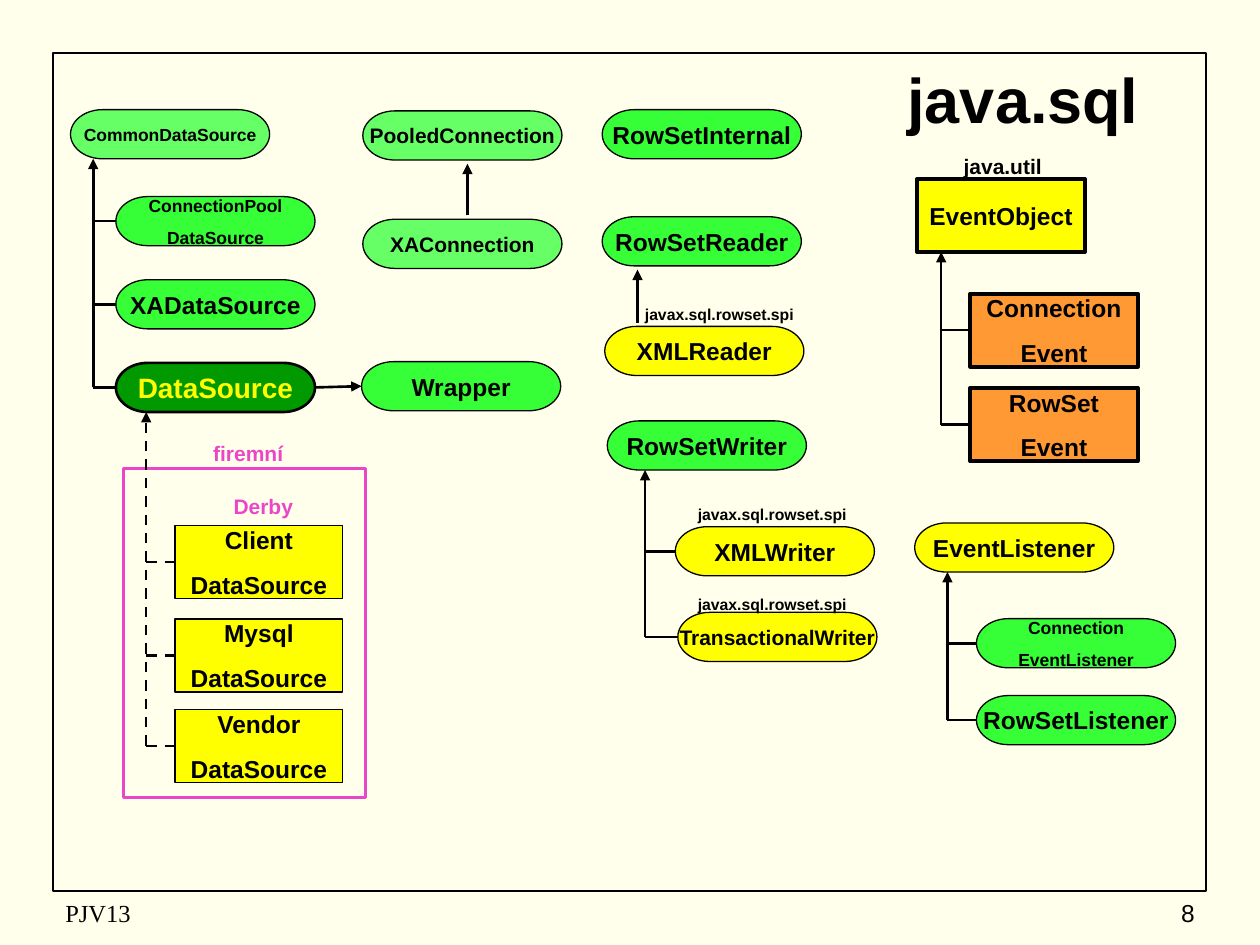
import pptx
import pptx.util
import pptx.dml.color
import pptx.enum.shapes
import pptx.enum.text
import pptx.enum.dml
import pptx.oxml.ns
from lxml import etree

In = pptx.util.Inches
Pt = pptx.util.Pt
KIND = pptx.enum.shapes.MSO_SHAPE
ALIGN = pptx.enum.text.PP_ALIGN
MID = pptx.enum.text.MSO_ANCHOR.MIDDLE
DASH = pptx.enum.dml.MSO_LINE.DASH

HUE = {"page": "FFFFEB", "ink": "000000", "lime": "66FF66", "green": "37FF37",
       "dark": "009900", "gold": "FFFF00", "peach": "FF9933", "pink": "EC46C8"}

PILL = (KIND.FLOWCHART_TERMINATOR, 1.58, 0.39)
CARD = (KIND.RECTANGLE, 1.33, 0.58)

GROUPS = [
    (PILL, 0.75, "ink", [
        ("CommonDataSource", 0.56, 0.87, "lime", 10),
        ("ConnectionPool\nDataSource", 0.92, 1.56, "green", 10),
        ("XADataSource", 0.92, 2.22, "green", 14),
        ("PooledConnection", 2.88, 0.88, "lime", 12),
        ("XAConnection", 2.88, 1.74, "lime", 12),
        ("Wrapper", 2.87, 2.87, "green", 14),
        ("RowSetInternal", 4.78, 0.87, "green", 14),
        ("RowSetReader", 4.78, 1.72, "green", 14),
        ("XMLReader", 4.8, 2.59, "gold", 14),
        ("RowSetWriter", 4.82, 3.34, "green", 14),
        ("XMLWriter", 5.36, 4.18, "gold", 14),
        ("TransactionalWriter", 5.38, 4.86, "gold", 12),
        ("EventListener", 7.26, 4.15, "gold", 14),
        ("Connection\nEventListener", 7.75, 4.91, "green", 10),
        ("RowSetListener", 7.75, 5.52, "green", 14)]),
    (PILL, 1.5, "gold", [("DataSource", 0.92, 2.88, "dark", 16)]),
    (CARD, 2.25, "ink", [
        ("EventObject", 7.28, 1.42, "gold", 14),
        ("Connection\nEvent", 7.7, 2.33, "peach", 14),
        ("RowSet\nEvent", 7.7, 3.08, "peach", 14)]),
    (CARD, 1, "ink", [
        ("Client\nDataSource", 1.39, 4.17, "gold", 14),
        ("Mysql\nDataSource", 1.39, 4.91, "gold", 14),
        ("Vendor\nDataSource", 1.39, 5.63, "gold", 14)]),
]

TREES = [
    ("CommonDataSource", 0.74, False,
     ["ConnectionPool\nDataSource", "XADataSource", "DataSource"]),
    ("DataSource", 1.16, True,
     ["Client\nDataSource", "Mysql\nDataSource", "Vendor\nDataSource"]),
    ("RowSetWriter", 5.12, False, ["XMLWriter", "TransactionalWriter"]),
    ("EventObject", 7.47, False, ["Connection\nEvent", "RowSet\nEvent"]),
    ("EventListener", 7.52, False,
     ["Connection\nEventListener", "RowSetListener"]),
]

RISES = [("XAConnection", "PooledConnection", 3.71),
         ("XMLReader", "RowSetReader", 5.06)]
GAP = 0.03

FRAMES = [(0.42, 0.42, 9.15, 6.65, "ink", 1), (0.98, 3.72, 1.92, 2.61, "pink", 1.5)]

SPI = "javax.sql.rowset.spi"
LABELS = [
    (SPI, 5.02, 2.37, 1.5, 0.25, 9, "ink", ALIGN.LEFT),
    (SPI, 5.44, 3.96, 1.5, 0.25, 9, "ink", ALIGN.LEFT),
    (SPI, 5.44, 4.67, 1.5, 0.25, 9, "ink", ALIGN.LEFT),
    ("java.util", 7.55, 1.17, 1, 0.3, 12, "ink", ALIGN.LEFT),
    ("firemní", 1.4, 3.45, 1.14, 0.3, 12, "pink", ALIGN.CENTER),
    ("Derby", 1.52, 3.87, 1.14, 0.3, 12, "pink", ALIGN.CENTER),
]
FEET = [("PJV13", 0.42, 3.17, "Times New Roman", ALIGN.LEFT),
        ("8", 7.5, 2.08, "Arial", ALIGN.RIGHT)]


def rgb(name):
    return pptx.dml.color.RGBColor.from_string(HUE[name])


def write(shape, text, size, hue, align, face="Arial", bold=True):
    frame = shape.text_frame
    frame.text = text
    for i, para in enumerate(frame.paragraphs):
        para.alignment = align
        if i:
            para.space_before = Pt(size * 0.625)
        for run in para.runs:
            font = run.font
            font.name, font.size, font.bold = face, Pt(size), bold
            font.color.rgb = rgb(hue)


def block(kind, x, y, w, h, fill, edge, wide):
    shape = slide.shapes.add_shape(kind, In(x), In(y), In(w), In(h))
    shape.shadow.inherit = False
    if fill:
        shape.fill.solid()
        shape.fill.fore_color.rgb = rgb(fill)
    else:
        shape.fill.background()
    shape.line.color.rgb = rgb(edge)
    shape.line.width = Pt(wide)
    return shape


def note(x, y, w, h):
    box = slide.shapes.add_textbox(In(x), In(y), In(w), In(h))
    box.text_frame.word_wrap = True
    return box


def link(x1, y1, x2, y2, arrow=False, dash=False):
    line = slide.shapes.add_connector(
        pptx.enum.shapes.MSO_CONNECTOR.STRAIGHT, x1, y1, x2, y2)
    line.line.color.rgb = rgb("ink")
    line.line.width = Pt(1.5)
    if dash:
        line.line.dash_style = DASH
    if arrow:
        tip = etree.SubElement(line.line._get_or_add_ln(),
                               pptx.oxml.ns.qn("a:tailEnd"))
        tip.set("type", "triangle")
    etree.SubElement(line._element.spPr, pptx.oxml.ns.qn("a:effectLst"))
    return line


def mid(box):
    return box.top + box.height // 2


def base(box):
    return box.top + box.height


deck = pptx.Presentation()
deck.slide_width, deck.slide_height = In(10), In(7.5)
slide = deck.slides.add_slide(deck.slide_layouts[5])
slide.background.fill.solid()
slide.background.fill.fore_color.rgb = rgb("page")

title = slide.shapes.title
title.left, title.top, title.width, title.height = In(6.68), In(0.45), In(2.88), In(0.66)
title.text_frame.vertical_anchor = MID
write(title, "java.sql", 36, "ink", ALIGN.CENTER)

for x, y, w, h, edge, wide in FRAMES:
    block(KIND.RECTANGLE, x, y, w, h, None, edge, wide)

nodes = {}
for (kind, w, h), wide, ink, items in GROUPS:
    for text, x, y, fill, size in items:
        box = nodes[text] = block(kind, x, y, w, h, fill, "ink", wide)
        box.text_frame.word_wrap = False
        box.text_frame.vertical_anchor = MID
        write(box, text, size, ink, ALIGN.CENTER)

for root, x, dash, kids in TREES:
    link(In(x), mid(nodes[kids[-1]]), In(x), base(nodes[root]), True, dash)
    for kid in kids:
        box = nodes[kid]
        link(In(x), mid(box), box.left, mid(box), dash=dash).end_connect(box, 1)

for low, high, x in RISES:
    link(In(x), nodes[low].top - In(GAP), In(x), base(nodes[high]) + In(GAP), True)

wrap = link(0, 0, 0, 0, True)
wrap.begin_connect(nodes["DataSource"], 3)
wrap.end_connect(nodes["Wrapper"], 1)

for text, x, y, w, h, size, hue, align in LABELS:
    write(note(x, y, w, h), text, size, hue, align)

for text, x, w, face, align in FEET:
    foot = note(x, 7.08, w, 0.33)
    foot.text_frame.vertical_anchor = MID
    write(foot, text, 14, "ink", align, face, False)

deck.save("out.pptx")
